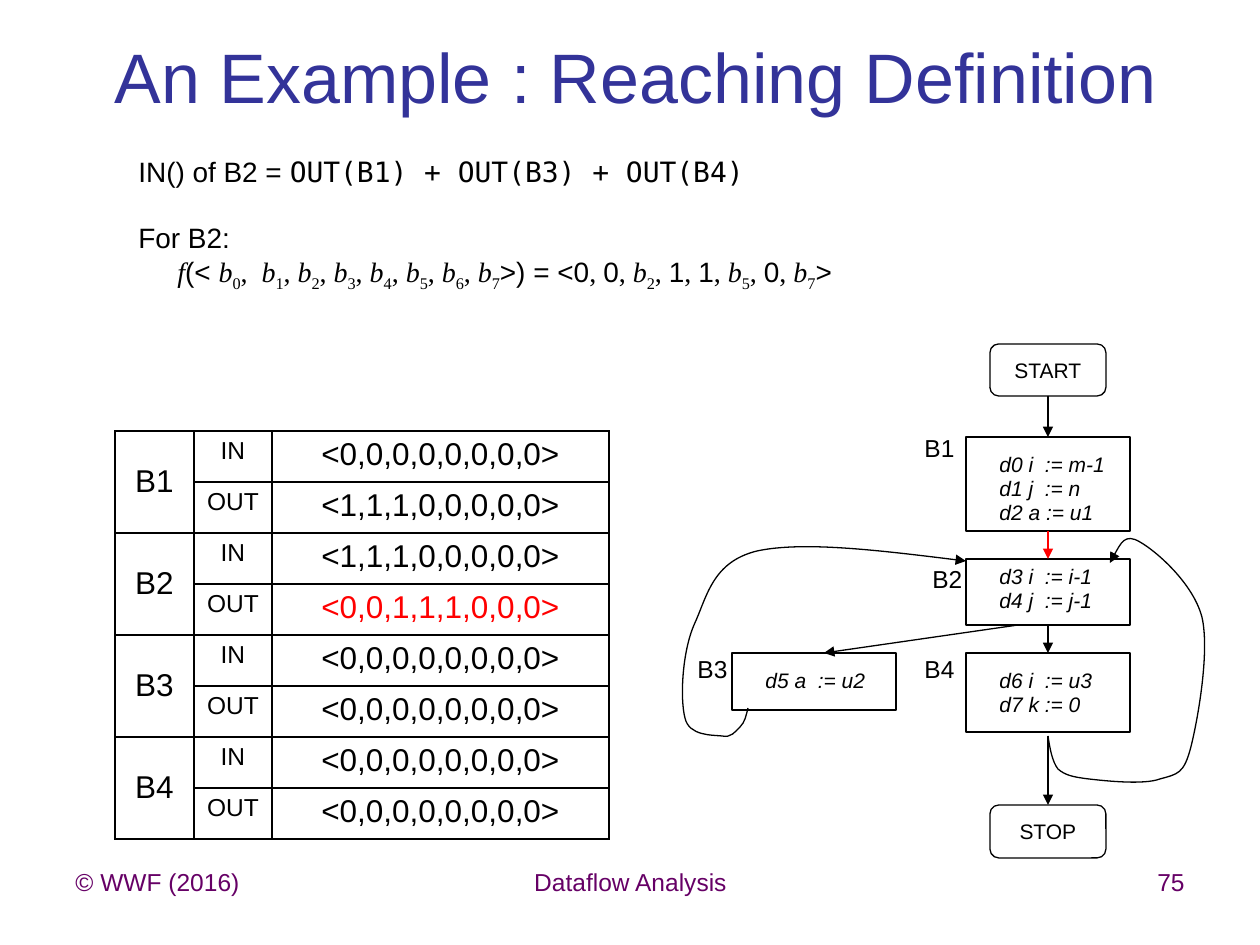
from lxml import etree
from pptx import Presentation
from pptx.dml.color import RGBColor
from pptx.enum.shapes import MSO_CONNECTOR, MSO_SHAPE
from pptx.enum.text import MSO_ANCHOR, PP_ALIGN
from pptx.oxml.ns import qn
from pptx.util import Emu, Pt

SCALE = 914400 / 126
BLACK = RGBColor(0, 0, 0)
WHITE = RGBColor(255, 255, 255)
RED = RGBColor(255, 0, 0)
NAVY = RGBColor(0x33, 0x33, 0x99)
PLUM = RGBColor(0x66, 0, 0x66)
SANS, MONO, SERIF = "Arial", "DejaVu Sans Mono", "Times New Roman"
LEFT, MID, RIGHT = PP_ALIGN.LEFT, PP_ALIGN.CENTER, PP_ALIGN.RIGHT
TOP, CENTER = MSO_ANCHOR.TOP, MSO_ANCHOR.MIDDLE
RECT, ROUND = MSO_SHAPE.RECTANGLE, MSO_SHAPE.ROUNDED_RECTANGLE
STRAIGHT = MSO_CONNECTOR.STRAIGHT

# Parts of the flow graph, relative to its corner
NODES = {
    "B1": ((286, 97, 164, 94), ["d0 i  := m-1", "d1 j  := n", "d2 a := u1"], 19, (-54, -10)),
    "B2": ((286, 219, 164, 66), ["d3 i  := i-1", "d4 j  := j-1"], 9, (-46, -1)),
    "B3": ((52, 313, 164, 57), ["d5 a  := u2"], 19, (-47, -5)),
    "B4": ((286, 313, 164, 79), ["d6 i  := u3", "d7 k := 0"], 19, (-54, -5)),
}
ENDS = {"START": (310, 4, 116, 52), "STOP": (310, 465, 116, 53)}
LOOPS = [
    [(68, 368), (66, 376), (65, 382), (60, 387), (55, 392), (51, 398), (42, 396),
     (32, 395), (9, 396), (5, 378), (0, 359), (2, 313), (14, 285),
     (27, 257), (32, 222), (77, 211), (123, 201), (205, 211), (286, 221)],
    [(368, 396), (370, 408), (372, 421), (378, 429), (385, 435), (392, 437), (409, 439),
     (426, 441), (464, 445), (480, 439), (498, 434), (504, 434), (511, 407),
     (518, 379), (530, 311), (522, 277), (513, 243), (476, 211), (460, 202),
     (445, 193), (438, 208), (430, 223)],
]
ZERO = "<0,0,0,0,0,0,0,0>"
FIRST = "<1,1,1,0,0,0,0,0>"
SETS = [ZERO, FIRST, FIRST, "<0,0,1,1,1,0,0,0>"] + [ZERO] * 4


def px(*nums):
    return [Emu(round(n * SCALE)) for n in nums]


def add_run(para, text, size, color=BLACK, font=SANS, italic=False):
    run = para.add_run()
    run.text = text
    face = run.font
    face.name, face.size, face.italic = font, Pt(size), italic
    face.color.rgb = color
    return run


def add_box(shapes, box, wrap=True, anchor=TOP):
    frame = shapes.add_textbox(*px(*box)).text_frame
    frame.word_wrap = wrap
    frame.vertical_anchor = anchor
    return frame


def add_line(shapes, box, text, size, color=BLACK, align=LEFT, wrap=True, anchor=TOP):
    """Add a text box that holds one line."""
    para = add_box(shapes, box, wrap, anchor).paragraphs[0]
    para.alignment = align
    add_run(para, text, size, color)


def add_rule(spot, name, **attrs):
    return etree.SubElement(spot, qn(name), **attrs)


def ink(line, color=BLACK, arrow=False):
    line.color.rgb = color
    line.width = Pt(0.75)
    if arrow:
        add_rule(line._get_or_add_ln(), "a:tailEnd", type="triangle")


def add_node(shapes, kind, box):
    node = shapes.add_shape(kind, *px(*box))
    node.shadow.inherit = False
    node.fill.background()
    ink(node.line)
    return node


def add_arrow(shapes, start, end, color=BLACK):
    arrow = shapes.add_connector(STRAIGHT, *px(*start, *end))
    ink(arrow.line, color, True)
    add_rule(arrow._element.spPr, "a:effectLst")
    return arrow


def add_curve(shapes, points):
    """Draw cubic curves: a start, then two handles and an end for each."""
    pen = shapes.build_freeform(*points[0], scale=SCALE)
    pen.add_line_segments(points[1:], close=False)
    curve = pen.convert_to_shape()
    curve.shadow.inherit = False
    curve.fill.background()
    ink(curve.line, arrow=True)
    track = next(curve._element.iter(qn("a:path")))
    steps = track.findall(qn("a:lnTo"))
    for i in range(0, len(steps), 3):
        bend = add_rule(track, "a:cubicBezTo")
        for step in steps[i:i + 3]:
            bend.append(step[0])
            track.remove(step)


def add_var(para, num):
    add_run(para, "b", 16, font=SERIF, italic=True)
    sub = add_run(para, str(num), 16, font=SERIF)
    sub.font._element.set("baseline", "-25000")


def add_body(shapes, box):
    frame = add_box(shapes, box)
    frame.margin_top = px(38)[0]
    para = frame.paragraphs[0]
    add_run(para, "IN() of B2 = ", 16)
    add_run(para, "OUT(B1) + OUT(B3) + OUT(B4)", 16, font=MONO)
    para = frame.add_paragraph()
    para.space_before = Pt(18.4)
    add_run(para, "For B2:", 16)
    para = frame.add_paragraph()
    para._p.get_or_add_pPr().set("marL", str(px(39)[0]))
    add_run(para, "f", 16, font=SERIF, italic=True)
    add_run(para, "(< ", 16)
    for num in range(8):
        if num:
            add_run(para, ",  " if num == 1 else ", ", 16, font=SERIF)
        add_var(para, num)
    add_run(para, ">) = <", 16)
    for i, term in enumerate(["0", "0", 2, "1", "1", 5, "0", 7]):
        if i:
            add_run(para, ", ", 16, font=SERIF)
        if isinstance(term, int):
            add_var(para, term)
        else:
            add_run(para, term, 16)
    add_run(para, ">", 16)


def fill_cell(cell, text, size, color=BLACK):
    para = cell.text_frame.paragraphs[0]
    para.alignment = MID
    add_run(para, text, size, color)


def add_sets(shapes, box):
    """Add the table of IN and OUT sets."""
    table = shapes.add_table(8, 3, *px(*box)).table
    table.first_row = table.horz_banding = False
    for col, width in zip(table.columns, px(79, 78, 337)):
        col.width = width
    for row in table.rows:
        row.height = px(box[3] / 8)[0]
    for cell in table.iter_cells():
        props = cell._tc.get_or_add_tcPr()
        for side in "LRTB":
            edge = add_rule(props, f"a:ln{side}", w=str(Pt(1)))
            add_rule(add_rule(edge, "a:solidFill"), "a:srgbClr", val=str(BLACK))
        cell.fill.background()
    for i, bits in enumerate(SETS):
        if i % 2 == 0:
            head = table.cell(i, 0)
            head.merge(table.cell(i + 1, 0))
            head.vertical_anchor = CENTER
            fill_cell(head, f"B{i // 2 + 1}", 18)
        fill_cell(table.cell(i, 1), "OUT" if i % 2 else "IN", 14)
        fill_cell(table.cell(i, 2), bits, 18, RED if i == 3 else BLACK)


def add_flow(shapes, x, y):
    """Draw the flow graph from its top left corner."""
    nodes = {}
    for name, ((left, top, w, h), code, drop, (dx, dy)) in NODES.items():
        left, top = x + left, y + top
        nodes[name] = add_node(shapes, RECT, (left, top, w, h))
        frame = add_box(shapes, (left + 21, top + drop, 132, 24 * len(code) + 4))
        for i, text in enumerate(code):
            para = frame.add_paragraph() if i else frame.paragraphs[0]
            para.line_spacing = 0.5
            if i:
                para.space_before = Pt(6.5)
            add_run(para, text, 12, italic=True)
        add_line(shapes, (left + dx, top + dy, 55, 43), name, 14, wrap=False)
    for name, (left, top, w, h) in ENDS.items():
        node = nodes[name] = add_node(shapes, ROUND, (x + left, y + top, w, h))
        node.fill.solid()
        node.fill.fore_color.rgb = WHITE
        node.text_frame.vertical_anchor = CENTER
        para = node.text_frame.paragraphs[0]
        para.alignment = MID
        add_run(para, name, 12)
    for a, b, color in [("START", "B1", BLACK), ("B1", "B2", RED), ("B2", "B4", BLACK)]:
        arrow = add_arrow(shapes, (x, y), (x, y), color)
        arrow.begin_connect(nodes[a], 2)
        arrow.end_connect(nodes[b], 0)
    add_arrow(shapes, (x + 338, y + 285), (x + 144, y + 313))
    last = add_arrow(shapes, (x + 368, y + 396), (x + 368, y + 465))
    last.end_connect(nodes["STOP"], 0)
    for points in LOOPS:
        add_curve(shapes, [(x + a, y + b) for a, b in points])


def add_foot(shapes, x, y):
    for dx, w, text, align in [(0, 294, "© WWF (2016)", LEFT),
                               (368, 399, "Dataflow Analysis", MID),
                               (840, 294, "75", RIGHT)]:
        add_line(shapes, (x + dx, y, w, 65), text, 14, PLUM, align)


def main():
    deck = Presentation()
    deck.slide_width, deck.slide_height = px(1260, 945)
    shapes = deck.slides.add_slide(deck.slide_layouts[6]).shapes
    add_line(shapes, (42, 42, 1187, 67), "An Example : Reaching Definition", 40, NAVY, MID, anchor=CENTER)
    add_body(shapes, (126, 117, 1092, 217))
    add_sets(shapes, (115, 431, 494, 408))
    add_flow(shapes, 680, 340)
    add_foot(shapes, 63, 861)
    deck.save("out.pptx")


if __name__ == "__main__":
    main()
